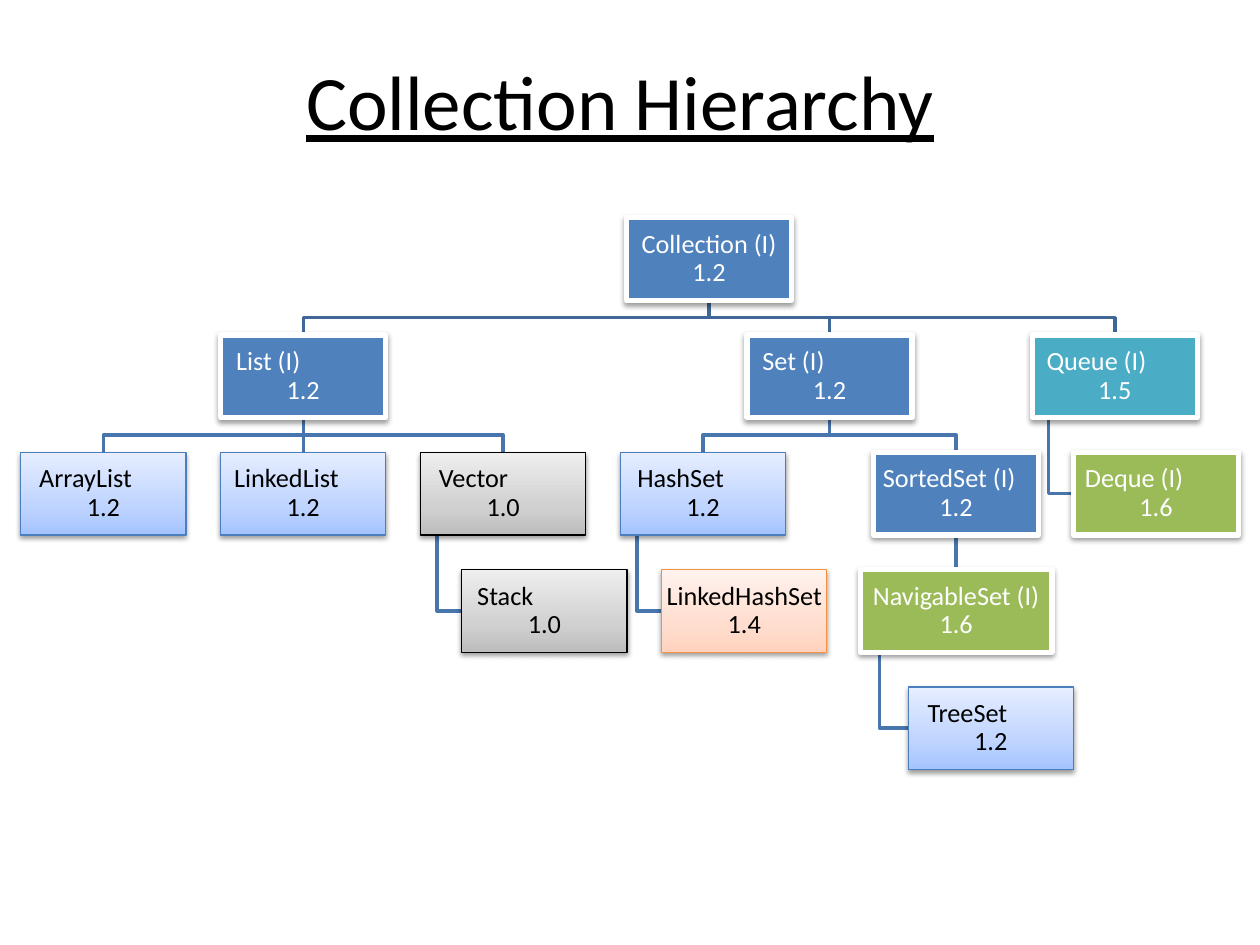
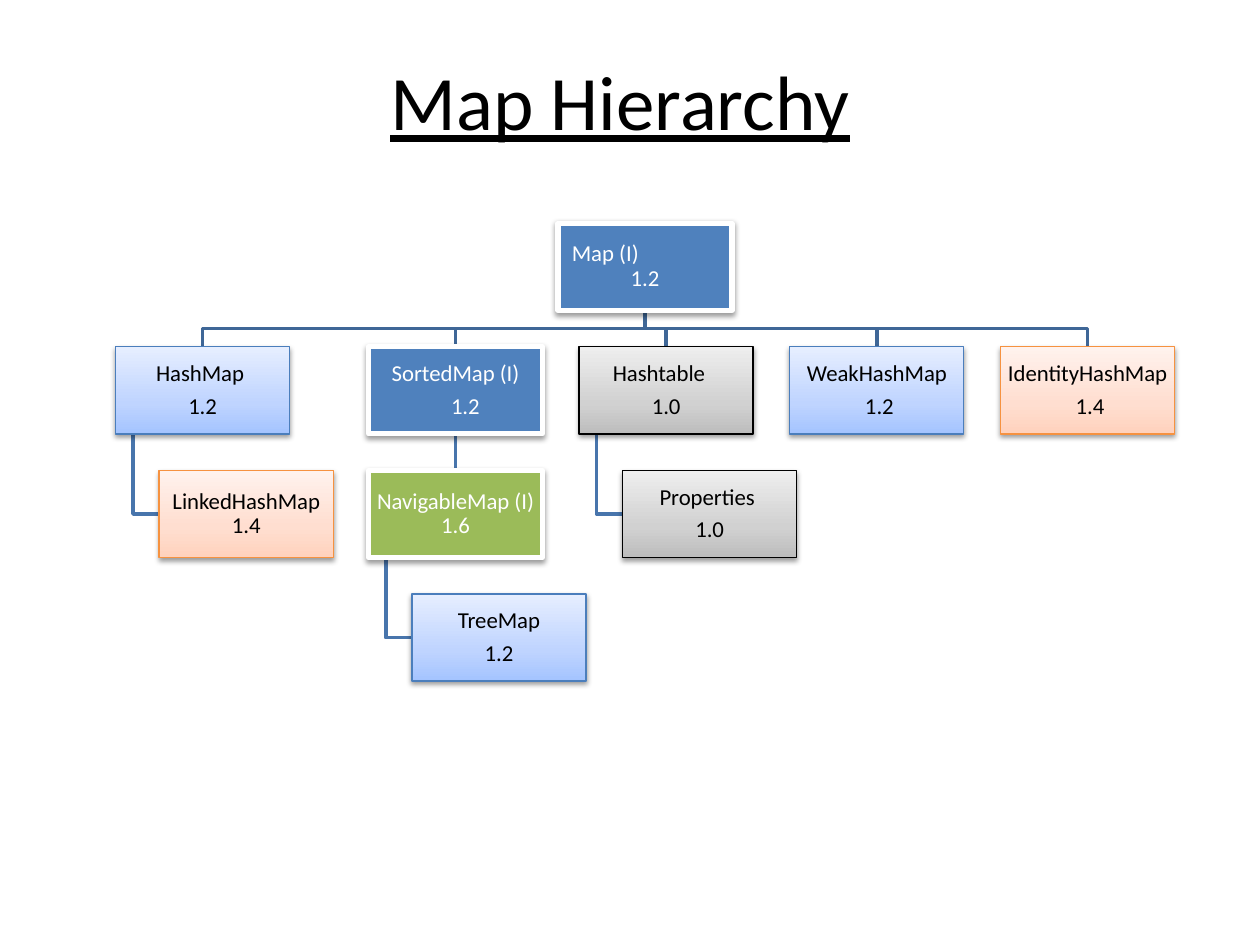
import copy
from dataclasses import dataclass, field

import lxml.etree
import pptx
import pptx.dml.color
import pptx.enum.shapes
import pptx.enum.text
import pptx.oxml
import pptx.oxml.ns
import pptx.util

Cm, Pt = pptx.util.Cm, pptx.util.Pt
FONT = "Calibri"
COLORS = {
    "text": "000000", "inverse": "FFFFFF", "interface": "4F81BD",
    "java5": "4BACC6", "java6": "9BBB59",
    "root_link": "3F6797", "link": "4875AC",
}
# Gradient stops from bottom to top, then the outline colour
GRADIENTS = {
    "java2": (("A4C4FF", "BFD4FF", "E6EEFF"), "4B7EBC"),
    "legacy": (("BDBDBD", "D1D1D1", "EEEEEE"), "000000"),
    "java4": (("FFD2BD", "FFDED0", "FFF2ED"), "F69240"),
}
STOP_POSITIONS = (0, 35000, 100000)
NAMESPACE = pptx.oxml.ns.nsdecls("a")
SHADOW = pptx.oxml.parse_xml(
    f'<a:outerShdw {NAMESPACE} blurRad="{Pt(3.1)}" dist="{Pt(1.6)}" dir="5400000" '
    'rotWithShape="0"><a:srgbClr val="000000"><a:alpha val="38000"/></a:srgbClr></a:outerShdw>')


@dataclass
class Node:
    """A type in the tree. Its column is needed only when no children fix it."""
    name: str
    version: str
    style: str
    column: float = 0
    children: list = field(default_factory=list)
    hanging: bool = False       # children hang to the lower right
    width: float = 1            # in box widths
    name_indent: float = 0      # cm; a left-aligned name when above zero
    version_indent: float = 0   # cm
    spaced: bool = False        # gap between name and version
    box: tuple = ()             # left, top, width, height in cm


def rgb(color):
    return pptx.dml.color.RGBColor.from_string(color)


def add_run(paragraph, text, size, color, underline=None):
    run = paragraph.add_run()
    run.text = text
    run.font.name, run.font.size = FONT, Pt(size)
    run.font.color.rgb = rgb(color)
    run.font.underline = underline


def add_title(slide, text, left, top, width, height):
    frame = slide.shapes.add_textbox(Cm(left), Cm(top), Cm(width), Cm(height)).text_frame
    frame.word_wrap = True
    frame.vertical_anchor = pptx.enum.text.MSO_ANCHOR.MIDDLE
    frame.paragraphs[0].alignment = pptx.enum.text.PP_ALIGN.CENTER
    add_run(frame.paragraphs[0], text, 44, COLORS["text"], underline=True)


def fill_gradient(shape, stops):
    shape.fill.background()
    stop_xml = "".join(f'<a:gs pos="{position}"><a:srgbClr val="{color}"/></a:gs>'
                       for position, color in zip(STOP_POSITIONS, stops))
    gradient = pptx.oxml.parse_xml(
        f'<a:gradFill {NAMESPACE} rotWithShape="1"><a:gsLst>{stop_xml}</a:gsLst>'
        '<a:lin ang="16200000" scaled="0"/></a:gradFill>')
    properties = shape._element.spPr
    properties.replace(properties.find(pptx.oxml.ns.qn("a:noFill")), gradient)


def add_node(slide, node, size):
    shape = slide.shapes.add_shape(pptx.enum.shapes.MSO_SHAPE.RECTANGLE,
                                   *(Cm(length) for length in node.box))
    # Surface
    if node.style in GRADIENTS:
        stops, outline = GRADIENTS[node.style]
        fill_gradient(shape, stops)
        text_color, line_width = COLORS["text"], 0.75
    else:
        shape.fill.solid()
        shape.fill.fore_color.rgb = rgb(COLORS[node.style])
        outline = text_color = COLORS["inverse"]
        line_width = 3
    shape.line.color.rgb, shape.line.width = rgb(outline), Pt(line_width)
    shape.shadow.inherit = False
    effects = shape._element.spPr.find(pptx.oxml.ns.qn("a:effectLst"))
    effects.append(copy.deepcopy(SHADOW))

    # Name above version
    frame = shape.text_frame
    frame.word_wrap = True
    frame.vertical_anchor = pptx.enum.text.MSO_ANCHOR.MIDDLE
    frame.margin_left = frame.margin_right = frame.margin_top = frame.margin_bottom = Cm(0.03)
    name, version = frame.paragraphs[0], frame.add_paragraph()
    for paragraph, text, indent in ((name, node.name, node.name_indent),
                                    (version, node.version, node.version_indent)):
        paragraph.alignment = pptx.enum.text.PP_ALIGN.CENTER
        paragraph.line_spacing = 0.9
        paragraph.space_after = Pt(0)
        if indent:
            paragraph._p.get_or_add_pPr().set("marL", str(Cm(indent)))
        add_run(paragraph, text, size, text_color)
    if node.name_indent:
        name.alignment = pptx.enum.text.PP_ALIGN.LEFT
    if node.spaced:
        name.space_after = Pt(0.35 * size)


def add_link(slide, parent, child, color):
    left, top, width, height = parent.box
    child_left, child_top, child_width, child_height = child.box
    bottom, center = top + height, left + width / 2
    child_center = child_left + child_width / 2
    if parent.hanging:
        start, end_y = left + width / 10, child_top + child_height / 2
        points = [(start, bottom), (start, end_y), (child_left, end_y)]
    elif abs(center - child_center) < 0.01:
        points = [(center, bottom), (center, child_top)]
    else:
        middle = (bottom + child_top) / 2
        points = [(center, bottom), (center, middle),
                  (child_center, middle), (child_center, child_top)]
    points = [(Cm(x), Cm(y)) for x, y in points]

    if len(points) == 2:
        link = slide.shapes.add_connector(pptx.enum.shapes.MSO_CONNECTOR.STRAIGHT,
                                          *points[0], *points[1])
        lxml.etree.SubElement(link._element.spPr, pptx.oxml.ns.qn("a:effectLst"))
    else:
        builder = slide.shapes.build_freeform(*points[0])
        builder.add_line_segments(points[1:], close=False)
        link = builder.convert_to_shape()
        link.fill.background()
        link.shadow.inherit = False
    link.line.color.rgb, link.line.width = rgb(color), Pt(2)


def place(node, left, top, unit):
    """Place a node and all below it; parents centre over their children."""
    width, height, level, pitch = unit * node.width, unit / 2, 0.71 * unit, 1.21 * unit
    node_left = left + node.column * pitch
    if node.children and not node.hanging:
        for child in node.children:
            place(child, left, top + level, unit)
        first, last = node.children[0].box, node.children[-1].box
        node_left = (first[0] + first[2] / 2 + last[0] + last[2] / 2 - width) / 2
    node.box = (node_left, top, width, height)
    if node.hanging:
        for child in node.children:
            place(child, node_left + width / 4, top + level, unit)


def walk(node):
    yield node
    for child in node.children:
        yield from walk(child)


def add_tree(slide, root, left, top, unit, size):
    place(root, left, top, unit)
    nodes = list(walk(root))
    for parent in nodes:
        for child in parent.children:
            add_link(slide, parent, child, COLORS["root_link" if parent is root else "link"])
    for node in nodes:
        add_node(slide, node, size)


def add_hierarchy_slide(presentation, title, root, **tree_box):
    slide = presentation.slides.add_slide(presentation.slide_layouts[6])
    add_tree(slide, root, **tree_box)
    add_title(slide, title, 1.07, 0.43, 22.86, 3.18)


# Collection types
list_types = Node("List (I)", "1.2", "interface", name_indent=0.28, children=[
    Node("ArrayList", "1.2", "java2", 0, name_indent=0.34),
    Node("LinkedList", "1.2", "java2", 1, name_indent=0.24),
    Node("Vector", "1.0", "legacy", 2, name_indent=0.34, hanging=True, children=[
        Node("Stack", "1.0", "legacy", name_indent=0.28)]),
])
set_types = Node("Set (I)", "1.2", "interface", name_indent=0.28, children=[
    Node("HashSet", "1.2", "java2", 3, name_indent=0.31, hanging=True, children=[
        Node("LinkedHashSet", "1.4", "java4")]),
    Node("SortedSet (I)", "1.2", "interface", name_indent=0.16, children=[
        Node("NavigableSet (I)", "1.6", "java6", 4.2, width=1.16, hanging=True, children=[
            Node("TreeSet", "1.2", "java2", name_indent=0.36)])]),
])
queue_types = Node("Queue (I)", "1.5", "java5", 5.06, name_indent=0.26, hanging=True, children=[
    Node("Deque (I)", "1.6", "java6", name_indent=0.2)])
collection_tree = Node("Collection (I)", "1.2", "interface",
                       children=[list_types, set_types, queue_types])

# Map types
map_tree = Node("Map (I)", "1.2", "interface", name_indent=0.25, children=[
    Node("HashMap ", "1.2", "java2", 0, spaced=True, hanging=True, children=[
        Node("LinkedHashMap", "1.4", "java4")]),
    Node("SortedMap (I)", "1.2", "interface", spaced=True, version_indent=0.4, children=[
        Node("NavigableMap (I)", "1.6", "java6", 1.2, hanging=True, children=[
            Node("TreeMap", "1.2", "java2", spaced=True)])]),
    Node("Hashtable", "1.0", "legacy", 2.2, spaced=True, name_indent=0.65, hanging=True,
         children=[Node("Properties ", "1.0", "legacy", spaced=True)]),
    Node("WeakHashMap", " 1.2", "java2", 3.2, spaced=True),
    Node("IdentityHashMap", " 1.4", "java4", 4.2, spaced=True),
])

presentation = pptx.Presentation()
presentation.slide_width, presentation.slide_height = Cm(25.4), Cm(19.05)
add_hierarchy_slide(presentation, "Collection Hierarchy", collection_tree,
                    left=0.42, top=4.39, unit=3.33, size=15)
add_hierarchy_slide(presentation, "Map Hierarchy", map_tree,
                    left=2.33, top=4.5, unit=3.51, size=13)
presentation.save("out.pptx")
